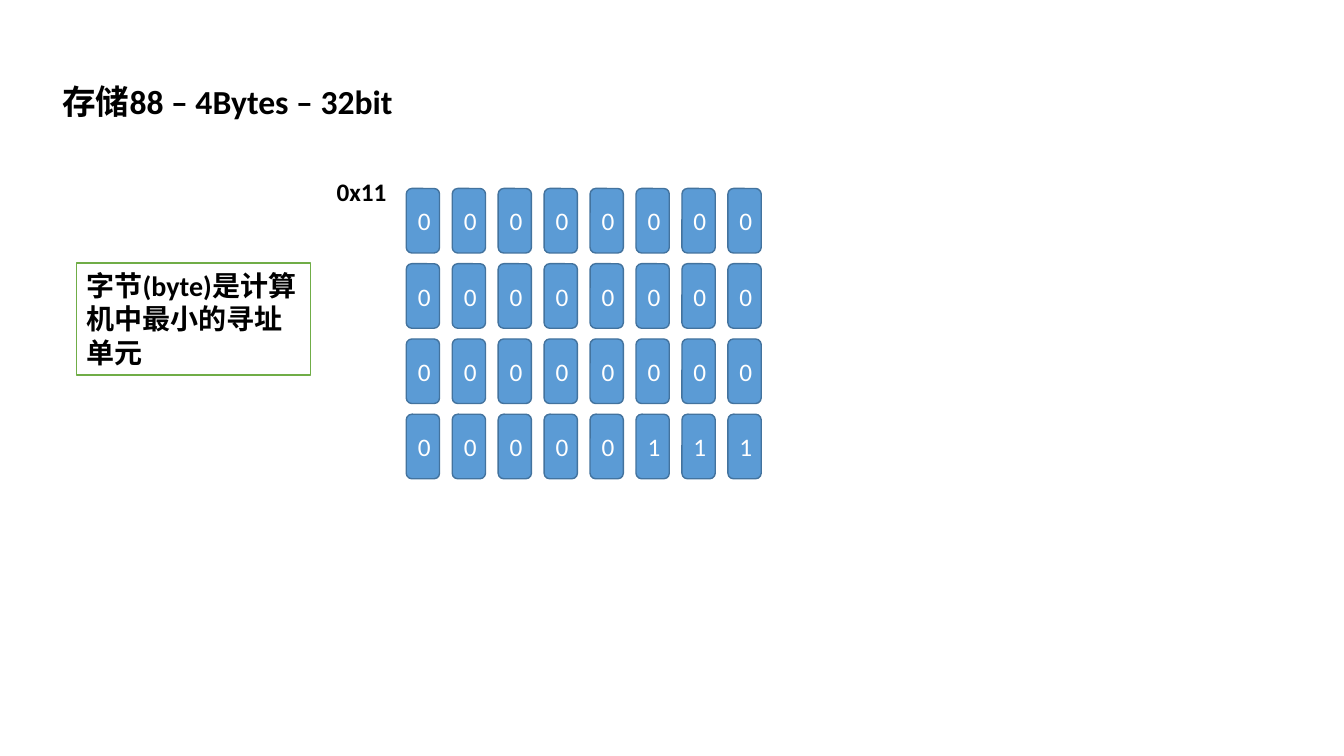
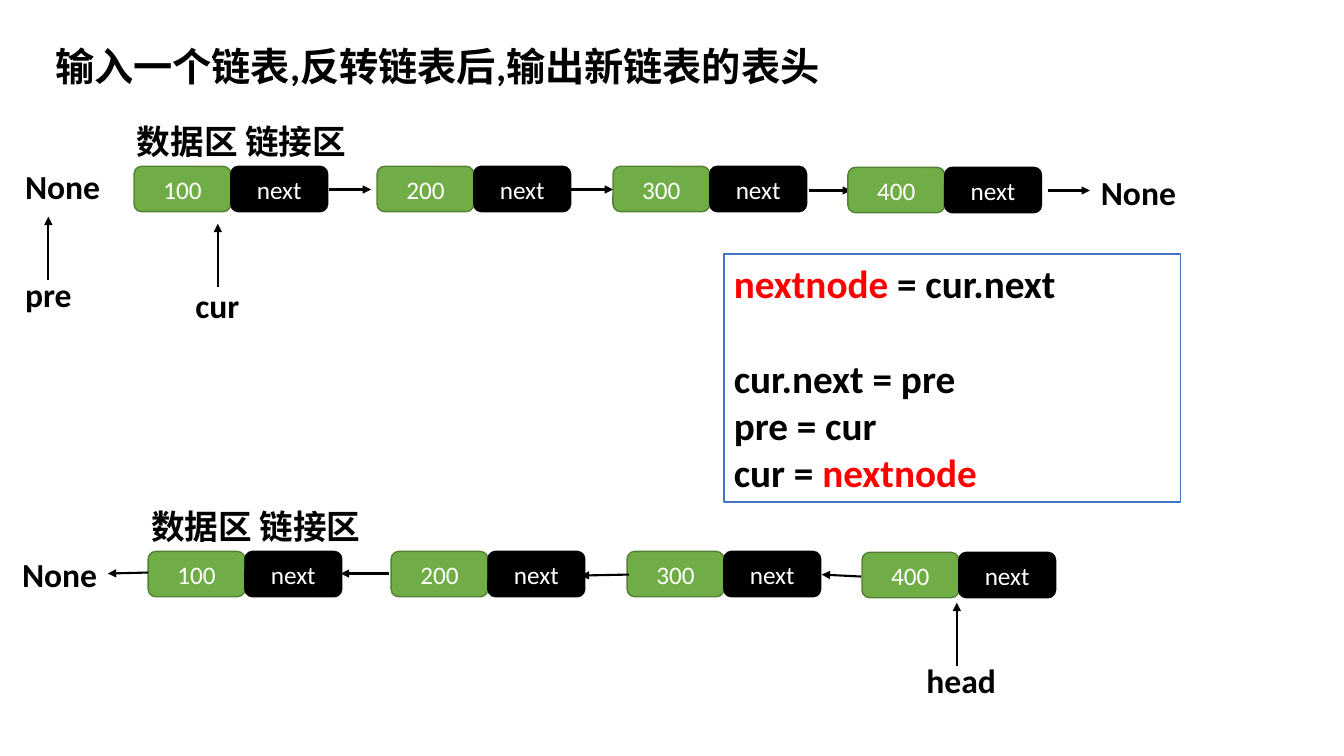
from lxml.etree import SubElement
from pptx import Presentation
from pptx.dml.color import RGBColor
from pptx.enum.shapes import MSO_CONNECTOR, MSO_SHAPE
from pptx.enum.text import MSO_ANCHOR, MSO_AUTO_SIZE, PP_ALIGN
from pptx.oxml.ns import qn
from pptx.util import Inches, Pt

FONT = "Calibri"
BLACK = RGBColor(0x00, 0x00, 0x00)
WHITE = RGBColor(0xFF, 0xFF, 0xFF)
RED = RGBColor(0xFF, 0x00, 0x00)
BLUE = RGBColor(0x5B, 0x9B, 0xD5)
BLUE_EDGE = RGBColor(0x43, 0x73, 0x9E)
FRAME_BLUE = RGBColor(0x44, 0x72, 0xC4)
GREEN = RGBColor(0x70, 0xAD, 0x47)
GREEN_EDGE = RGBColor(0x53, 0x80, 0x35)

CELL_WIDTH, CELL_HEIGHT = 0.33, 0.64
NODE_WIDTH, NODE_HEIGHT = 0.96, 0.45
NODES = [("100", 0, 0), ("200", 2.41, 0), ("300", 4.75, 0), ("400", 7.08, 0.01)]


def add_run(paragraph, text, size, color=BLACK, bold=True):
    """Append one formatted run to a paragraph."""
    run = paragraph.add_run()
    run.text = text
    run.font.name = FONT
    run.font.size = Pt(size)
    run.font.bold = bold
    run.font.color.rgb = color


def add_label(slide, text, left, top, width, height=0.5, size=24, wrap=False):
    """Place bold black text in a box of its own."""
    box = slide.shapes.add_textbox(Inches(left), Inches(top), Inches(width), Inches(height))
    frame = box.text_frame
    frame.word_wrap = wrap
    frame.auto_size = MSO_AUTO_SIZE.SHAPE_TO_FIT_TEXT
    add_run(frame.paragraphs[0], text, size)


def add_box(slide, kind, left, top, width, height, fill, edge):
    """Draw a filled, outlined shape without shadow."""
    shape = slide.shapes.add_shape(kind, Inches(left), Inches(top), Inches(width), Inches(height))
    shape.shadow.inherit = False
    shape.fill.solid()
    shape.fill.fore_color.rgb = fill
    shape.line.color.rgb = edge
    shape.line.width = Pt(1)
    shape.text_frame.word_wrap = True
    return shape


def add_block(slide, text, left, top, width, height, fill, edge):
    """Draw a rounded block with centred white text."""
    shape = add_box(slide, MSO_SHAPE.ROUNDED_RECTANGLE, left, top, width, height, fill, edge)
    shape.text_frame.vertical_anchor = MSO_ANCHOR.MIDDLE
    paragraph = shape.text_frame.paragraphs[0]
    paragraph.alignment = PP_ALIGN.CENTER
    add_run(paragraph, text, 18, WHITE, bold=False)


def add_framed_text(slide, lines, left, top, width, height, size, edge):
    """Fill a framed white box with lines of (text, colour) runs; None skips a line."""
    shape = add_box(slide, MSO_SHAPE.RECTANGLE, left, top, width, height, WHITE, edge)
    frame = shape.text_frame
    frame.vertical_anchor = MSO_ANCHOR.TOP
    frame.auto_size = MSO_AUTO_SIZE.SHAPE_TO_FIT_TEXT
    paragraph, gap = frame.paragraphs[0], 0
    for number, line in enumerate(lines):
        if line is None:
            gap = size * 1.22
            continue
        if number:
            paragraph = frame.add_paragraph()
        paragraph.alignment = PP_ALIGN.LEFT
        paragraph.space_before = Pt(gap)
        gap = 0
        for text, color in line:
            add_run(paragraph, text, size, color)


def add_arrow(slide, start, end):
    """Draw a black arrow from start to end."""
    points = [Inches(value) for value in (*start, *end)]
    arrow = slide.shapes.add_connector(MSO_CONNECTOR.STRAIGHT, *points)
    arrow.line.color.rgb = BLACK
    arrow.line.width = Pt(1.5)
    SubElement(arrow.line._get_or_add_ln(), qn("a:tailEnd"), type="triangle")
    SubElement(arrow._element.spPr, qn("a:effectLst"))


def add_bit_grid(slide, rows, left, top, width, height):
    """Spread rows of bits evenly over the given box."""
    column_step = (width - CELL_WIDTH) / (len(rows[0]) - 1)
    row_step = (height - CELL_HEIGHT) / (len(rows) - 1)
    for row, bits in enumerate(rows):
        for column, bit in enumerate(bits):
            add_block(slide, bit, left + column * column_step, top + row * row_step,
                      CELL_WIDTH, CELL_HEIGHT, BLUE, BLUE_EDGE)


def add_linked_nodes(slide, left, top):
    """Place the heading and the four two-part nodes of a linked list."""
    add_label(slide, "数据区 链接区", left - 0.07, top - 0.5, 2.36, wrap=True)
    for value, across, down in NODES:
        add_block(slide, value, left + across, top + down,
                  NODE_WIDTH, NODE_HEIGHT, GREEN, GREEN_EDGE)
        add_block(slide, "next", left + across + NODE_WIDTH, top + down,
                  NODE_WIDTH, NODE_HEIGHT, BLACK, BLACK)


def add_pointer(slide, name, left, top, tip, length=0.63):
    """Place a pointer name and the upward arrow that ends at tip."""
    add_label(slide, name, left, top, 0.9)
    add_arrow(slide, (tip[0], tip[1] + length), tip)


def build_storage_slide(slide):
    """Show how a number is held in four bytes."""
    add_label(slide, "存储88 – 4Bytes – 32bit", 0.52, 0.75, 3.5, wrap=True)
    add_bit_grid(slide, ["00000000"] * 3 + ["00000111"], 4.03, 1.87, 3.52, 2.88)
    add_label(slide, "0x11", 3.24, 1.7, 0.78, 0.4, size=18, wrap=True)
    add_framed_text(slide, [[("字节(byte)是计算机中最小的寻址单元", BLACK)]],
                    0.76, 2.61, 2.32, 1.11, 20, GREEN)


def build_reversal_slide(slide):
    """Show a linked list before and after its reversal."""
    add_label(slide, "输入一个链表,反转链表后,输出新链表的表头".replace(",", ","),
              0.45, 0.37, 9.04, 0.57, size=28, wrap=True)

    for start, y in [(3.26, 1.88), (5.66, 1.88), (8.02, 1.89), (10.39, 1.89)]:
        add_arrow(slide, (start, y), (start + 0.42, y))
    add_linked_nodes(slide, 1.33, 1.65)
    add_label(slide, "None", 0.15, 1.6, 0.95)
    add_label(slide, "None", 10.82, 1.66, 0.95)
    add_pointer(slide, "pre", 0.15, 2.67, (0.48, 2.15))
    add_pointer(slide, "cur", 1.84, 2.78, (2.16, 2.22))

    code = [
        [("nextnode", RED), (" = cur.next", BLACK)],
        None,
        [("cur.next = pre", BLACK)],
        [("pre = cur", BLACK)],
        [("cur = ", BLACK), ("nextnode", RED)],
    ]
    add_framed_text(slide, code, 7.18, 2.52, 4.53, 2.46, 28, FRAME_BLUE)

    add_linked_nodes(slide, 1.47, 5.47)
    for start, end in [((1.47, 5.68), (1.07, 5.69)), ((3.86, 5.69), (3.38, 5.69)),
                       ((6.24, 5.7), (5.76, 5.71)), ((8.54, 5.72), (8.15, 5.7))]:
        add_arrow(slide, start, end)
    add_label(slide, "None", 0.12, 5.45, 0.95)
    add_pointer(slide, "head", 9.09, 6.5, (9.49, 5.98))


def main():
    """Build and save the presentation."""
    presentation = Presentation()
    presentation.slide_width = Inches(13.33)
    presentation.slide_height = Inches(7.5)
    for build in (build_storage_slide, build_reversal_slide):
        build(presentation.slides.add_slide(presentation.slide_layouts[6]))
    presentation.save("out.pptx")


main()
